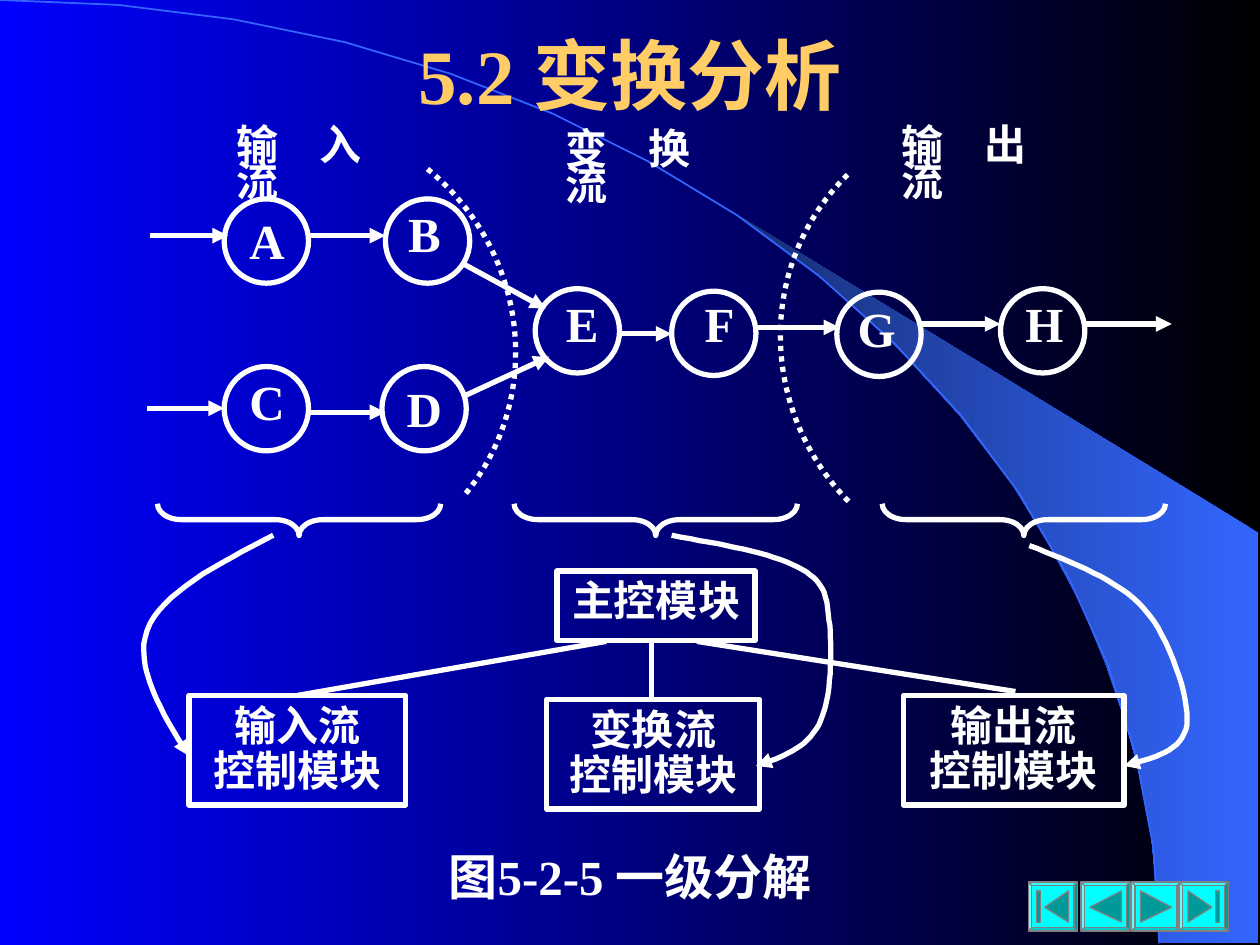
from lxml import etree
from pptx import Presentation
from pptx import util as u
from pptx.dml.color import RGBColor
from pptx.enum import dml, shapes, text
from pptx.oxml.ns import qn

WHITE = RGBColor(0xFF, 0xFF, 0xFF)
BLACK = RGBColor(0, 0, 0)
GOLD = RGBColor(0xFF, 0xCC, 0x66)
BLUE = RGBColor(0, 0, 0xFF)
SKY = RGBColor(0x33, 0x66, 0xFF)
NAVY = RGBColor(0x17, 0x2F, 0x75)
CYAN = RGBColor(0, 0xFF, 0xFF)
TEAL = RGBColor(0, 0x99, 0x99)
GRAY = RGBColor(0x80, 0x80, 0x80)
FONT = "Times New Roman"
MSO, AL = shapes.MSO_SHAPE, text.PP_ALIGN
TOP, MIDDLE = text.MSO_ANCHOR.TOP, text.MSO_ANCHOR.MIDDLE

# Content: places are in inches, turned into Cm by cm()
TITLE = "5.2 变换分析"
CAPTION = "图5‑2‑5 一级分解"
FLOWS = [("输入流", 1.78, 1.08), ("变换流", 4.39, 1.11), ("输出流", 7.06, 1.08)]
# name, circle left and top, letter left and top
NODES = [("A", 1.78, 1.58, 1.83, 1.67), ("B", 3.06, 1.58, 3.08, 1.62),
         ("C", 1.78, 2.91, 1.83, 2.95), ("D", 3.03, 2.91, 3.08, 3),
         ("E", 4.25, 2.29, 4.33, 2.33), ("F", 5.33, 2.31, 5.42, 2.33),
         ("G", 6.64, 2.32, 6.67, 2.37), ("H", 7.94, 2.29, 8, 2.33)]
DATA_FLOWS = [(1.19, 1.87, 1.81, 1.87), (2.44, 1.87, 3.06, 1.87),
              (1.17, 3.24, 1.78, 3.24), (2.44, 3.27, 3.06, 3.27),
              (3.67, 2.09, 4.33, 2.45), (3.67, 3.15, 4.36, 2.83),
              (4.92, 2.65, 5.33, 2.65), (6, 2.6, 6.66, 2.6),
              (7.3, 2.57, 7.94, 2.57), (8.61, 2.57, 9.3, 2.57)]
BOUNDARIES = [(0.45, 0.88, 129.1), (6.22, 0.86, 315.7)]
BRACES = [2.25, 5.08, 8]
MODULES = [("主控模块", 4.42, 4.53, 1.57, 0.55, 0.72),
           ("输入流\n控制模块", 1.5, 5.52, 1.72, 0.87, 0.9),
           ("变换流\n控制模块", 4.34, 5.55, 1.69, 0.87, 0.9),
           ("输出流\n控制模块", 7.17, 5.52, 1.75, 0.87, 0.9)]
CALLS = [(5.17, 5.09, 5.17, 5.55), (4.81, 5.09, 2.36, 5.52), (5.53, 5.09, 8.06, 5.49)]
# Bezier curves: start point, then three points for each segment
MAPPINGS = [
    [(2.17, 4.25), (1.72, 4.48), (1.28, 4.71), (1.17, 5),
     (1.06, 5.29), (1.28, 5.65), (1.5, 6)],
    [(5.33, 4.25), (5.73, 4.32), (6.12, 4.39), (6.33, 4.5),
     (6.54, 4.61), (6.56, 4.71), (6.58, 4.92), (6.61, 5.13), (6.6, 5.56),
     (6.5, 5.75), (6.4, 5.94), (6.2, 6.01), (6, 6.08)],
    [(8.17, 4.33), (8.52, 4.47), (8.87, 4.6), (9.08, 4.83),
     (9.29, 5.07), (9.44, 5.54), (9.42, 5.75), (9.39, 5.96), (9.15, 6.02), (8.92, 6.08)]]
HORIZON = [(0, 0), (5.08, 0), (9.2, 3.35), (9.2, 7.49)]
BEAM = [(9.2, 7.48), (9.99, 7.49), (9.99, 4.23), (5.89, 1.73), (6.24, 1.99), (6.53, 2.22),
        (6.85, 2.5), (7.16, 2.8), (7.62, 3.3), (8.03, 3.84), (8.32, 4.31), (8.58, 4.79),
        (8.78, 5.28), (8.93, 5.72), (9.03, 6.09), (9.13, 6.56), (9.17, 6.96)]
# Button left, then triangle tip x, triangle base x and bar left inside the button
BUTTONS = [(8.16, 0.13, 0.32, 0.07), (8.58, 0.07, 0.32, None),
           (8.98, 0.32, 0.07, None), (9.36, 0.26, 0.07, 0.29)]

prs = Presentation()
prs.slide_width, prs.slide_height = u.Cm(25.4), u.Cm(19.05)
s = prs.slides.add_slide(prs.slide_layouts[6])


def cm(inches):
    return u.Cm(round(inches * 2.54, 2))


def gradient(fill, *colors):
    fill.gradient()
    fill.gradient_angle = 180
    for stop, color in zip(fill.gradient_stops, colors):
        stop.color.rgb = color


def outline(sp, color=WHITE, width=3, arrow=False):
    sp.line.color.rgb = color
    sp.line.width = u.Pt(width)
    if arrow:
        ln = sp.element.spPr.find(qn("a:ln"))
        etree.SubElement(ln, qn("a:tailEnd"), type="triangle")


def preset(kind, x, y, w, h, rotation=0, adjust=()):
    sp = s.shapes.add_shape(kind, cm(x), cm(y), cm(w), cm(h))
    sp.shadow.inherit = False
    sp.fill.background()
    sp.rotation = rotation
    for i, value in enumerate(adjust):
        sp.adjustments[i] = value
    outline(sp)
    return sp


def polygon(points, close=True):
    pts = [(cm(x), cm(y)) for x, y in points]
    fb = s.shapes.build_freeform(*pts[0])
    fb.add_line_segments(pts[1:], close=close)
    sp = fb.convert_to_shape()
    sp.shadow.inherit = False
    return sp


def curve(points, steps=16):
    track = [points[0]]
    for i in range(0, len(points) - 1, 3):
        a, b, c, d = points[i:i + 4]
        for t in (k / steps for k in range(1, steps + 1)):
            m = 1 - t
            track.append(tuple(m**3 * p + 3 * m * m * t * q + 3 * m * t * t * r + t**3 * v
                               for p, q, r, v in zip(a, b, c, d)))
    sp = polygon(track, close=False)
    sp.fill.background()
    return sp


def line(x1, y1, x2, y2, arrow=False):
    c = s.shapes.add_connector(shapes.MSO_CONNECTOR.STRAIGHT, cm(x1), cm(y1), cm(x2), cm(y2))
    outline(c, arrow=arrow)
    etree.SubElement(c.element.spPr, qn("a:effectLst"))


def write(sp, words, size, color=WHITE, align=AL.CENTER, anchor=MIDDLE,
          spacing=None, inset=(0, 0)):
    tf = sp.text_frame
    tf.word_wrap = True
    tf.vertical_anchor = anchor
    tf.margin_left = tf.margin_right = cm(inset[0])
    tf.margin_top = tf.margin_bottom = cm(inset[1])
    tf.text = words
    for p in tf.paragraphs:
        p.alignment = align
        if spacing:
            p.line_spacing = spacing
        for r in p.runs:
            r.font.name, r.font.size, r.font.bold = FONT, u.Pt(size), True
            r.font.color.rgb = color


def label(words, x, y, w, h, size, **style):
    write(s.shapes.add_textbox(cm(x), cm(y), cm(w), cm(h)), words, size, **style)


# Background with beam and horizon
gradient(s.background.fill, BLACK, BLUE)
beam = polygon(BEAM)
gradient(beam.fill, SKY, NAVY)
beam.line.fill.background()
outline(curve(HORIZON), SKY, 1)

# Title, caption and flow names
label(TITLE, 0.75, 0.17, 8.5, 0.83, 44, color=GOLD, inset=(0.1, 0.05))
label(CAPTION, 0.75, 6.67, 8.5, 0.67, 28, anchor=TOP, inset=(0.1, 0.05))
for words, x, y in FLOWS:
    label(words, x, y, 1.19, 0.5, 24, align=AL.JUSTIFY, spacing=0.72, inset=(0.1, 0))

# Navigation buttons
for x, tip, base, bar in BUTTONS:
    button = preset(MSO.BEVEL, x, 7, 0.39, 0.39, adjust=[0.07])
    icons = [polygon([(x + tip, 7.2), (x + base, 7.07), (x + base, 7.32)])]
    if bar is not None:
        icons.append(preset(MSO.RECTANGLE, x + bar, 7.07, 0.03, 0.25))
    for sp, color in [(button, CYAN)] + [(icon, TEAL) for icon in icons]:
        sp.fill.solid()
        sp.fill.fore_color.rgb = color
        outline(sp, GRAY, 0.75)

# Data flow diagram
for name, x, y, tx, ty in NODES:
    preset(MSO.OVAL, x, y, 0.67, 0.67)
    label(name, tx, ty, 0.58, 0.47, 28)
for ends in DATA_FLOWS:
    line(*ends, arrow=True)

# Dotted boundaries (arc from 180 to 270 degrees) and braces
for x, y, rotation in BOUNDARIES:
    arc = preset(MSO.ARC, x, y, 3.61, 3.72, rotation, adjust=[108, 162])
    arc.line.dash_style = dml.MSO_LINE.ROUND_DOT
for x in BRACES:
    preset(MSO.LEFT_BRACE, x, 3, 0.25, 2.25, 270, adjust=[0.75, 0.5])

# Module hierarchy and mappings
for words, x, y, w, h, spacing in MODULES:
    write(preset(MSO.RECTANGLE, x, y, w, h), words, 24, spacing=spacing)
for ends in CALLS:
    line(*ends)
for points in MAPPINGS:
    outline(curve(points), arrow=True)

prs.save("out.pptx")
